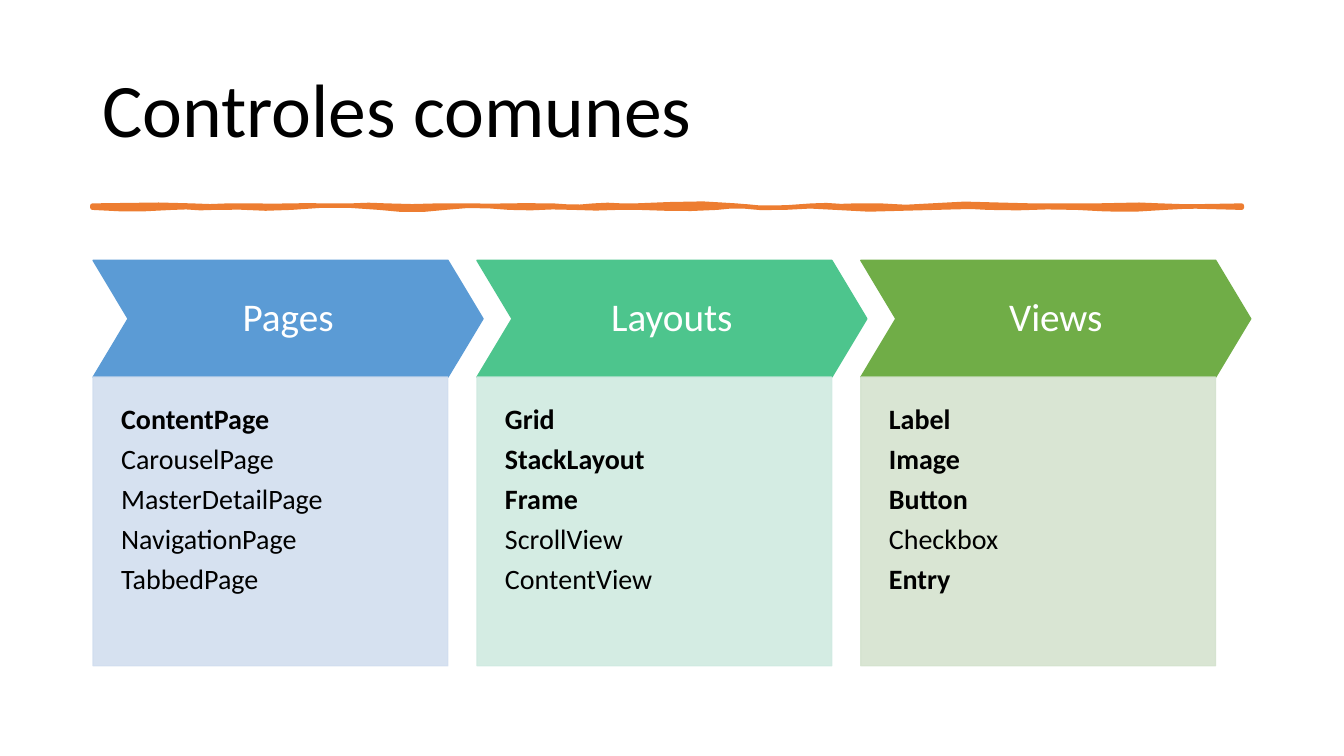
"""Builds the slide on common controls: a brushed rule and three columns."""
from pptx import Presentation
from pptx.dml.color import RGBColor
from pptx.enum.shapes import MSO_SHAPE
from pptx.enum.text import MSO_ANCHOR, PP_ALIGN
from pptx.oxml.ns import qn
from pptx.util import Pt
from lxml.etree import SubElement

TITLE = "Controles comunes"
COLUMNS = [
    ("Pages", RGBColor(0x5B, 0x9B, 0xD5), RGBColor(0xD2, 0xDE, 0xEF),
     ["ContentPage", "CarouselPage", "MasterDetailPage", "NavigationPage", "TabbedPage"]),
    ("Layouts", RGBColor(0x4D, 0xC5, 0x8D), RGBColor(0xD0, 0xEA, 0xE1),
     ["Grid", "StackLayout", "Frame", "ScrollView", "ContentView"]),
    ("Views", RGBColor(0x70, 0xAD, 0x47), RGBColor(0xD5, 0xE3, 0xCF),
     ["Label", "Image", "Button", "Checkbox", "Entry"]),
]
BOLD = {"ContentPage", "Grid", "StackLayout", "Frame", "Label", "Image", "Button", "Entry"}
TOP_WAVE = [
    (137, 0, -2), (176, 2, -1), (238, 1, -1), (276, 1, -2), (331, 2, -1), (395, 1, -1),
    (424, 1, 2), (454, -2, 1), (526, -1, -4), (580, 4, 2), (611, -2, 2), (665, -2, 4),
    (737, -4, 0), (783, 0, 0), (829, 0, -2), (887, 2, 0),
]
LOW_WAVE = [
    (832, 0, -3), (769, 3, 2), (706, -2, 2), (668, -2, 0), (597, 0, 4), (542, -4, 2),
    (512, -2, -2), (457, 2, 1), (410, -1, 2), (364, -2, 2), (318, -2, -3), (271, 3, 3),
    (208, -3, -3), (153, 3, -2), (123, 2, -2), (66, 2, 2),
]
BLACK = RGBColor(0, 0, 0)
WHITE = RGBColor(255, 255, 255)
ORANGE = RGBColor(0xED, 0x7D, 0x31)
FONT = "Calibri"
LEFT, STEP = 66.5, 274.2
HEAD_TOP, HEAD_WIDE, HEAD_HIGH = 186, 278.5, 83.4
BODY_TOP, BODY_WIDE, BODY_HIGH = 269.4, 253.4, 206.2
RULE_LEFT, RULE_TOP, RULE_LOW = 66, 146.9, 148.3
SWING, PARTS = 0.72, 3


def wave(start, base, curves):
    points = []
    for end, first, second in curves:
        for part in range(1, PARTS + 1):
            t = part / PARTS
            lift = 3 * t * (1 - t) * ((1 - t) * first + t * second)
            points.append((Pt(start + (end - start) * t), Pt(base + SWING * lift)))
        start = end
    return points


def paint(shape, color, weight, alpha=None):
    shape.shadow.inherit = False
    shape.fill.solid()
    shape.fill.fore_color.rgb = color
    shape.line.color.rgb = color
    shape.line.width = Pt(weight)
    if alpha:
        for tint in shape._element.spPr.iter(qn("a:srgbClr")):
            SubElement(tint, qn("a:alpha")).set("val", str(alpha * 1000))


def write(shape, lines, size, color, align, anchor, pads, bold=()):
    frame = shape.text_frame
    frame.word_wrap = True
    frame.vertical_anchor = anchor
    frame.margin_left, frame.margin_top, frame.margin_right, frame.margin_bottom = map(Pt, pads)
    for index, line in enumerate(lines):
        para = frame.add_paragraph() if index else frame.paragraphs[0]
        para.text = line
        para.alignment = align
        para.line_spacing = 0.9
        para.space_after = Pt(size * 0.35)
        para.font.name = FONT
        para.font.size = Pt(size)
        para.font.color.rgb = color
        para.font.bold = line in bold


def main():
    deck = Presentation()
    deck.slide_width, deck.slide_height = Pt(960), Pt(540)
    shapes = deck.slides.add_slide(deck.slide_layouts[6]).shapes

    title = shapes.add_textbox(Pt(66), Pt(28.8), Pt(828), Pt(104.4))
    write(title, [TITLE], 54, BLACK, PP_ALIGN.LEFT, MSO_ANCHOR.MIDDLE, (7.2, 3.6, 7.2, 3.6))

    edge = TOP_WAVE[-1][0]
    pen = shapes.build_freeform(Pt(RULE_LEFT), Pt(RULE_TOP))
    pen.add_line_segments(wave(RULE_LEFT, RULE_TOP, TOP_WAVE), close=False)
    pen.add_line_segments([(Pt(edge), Pt(RULE_LOW))] + wave(edge, RULE_LOW, LOW_WAVE))
    rule = pen.convert_to_shape()
    paint(rule, ORANGE, 3.25)
    SubElement(rule.line._get_or_add_ln(), qn("a:round"))

    for index, (name, dark, pale, items) in enumerate(COLUMNS):
        left = Pt(LEFT + index * STEP)
        head = shapes.add_shape(MSO_SHAPE.CHEVRON, left, Pt(HEAD_TOP), Pt(HEAD_WIDE), Pt(HEAD_HIGH))
        head.adjustments[0] = 0.3
        paint(head, dark, 1)
        write(head, [name], 28, WHITE, PP_ALIGN.CENTER, MSO_ANCHOR.MIDDLE, (10, 10, 10, 10))
        body = shapes.add_shape(MSO_SHAPE.RECTANGLE, left, Pt(BODY_TOP), Pt(BODY_WIDE), Pt(BODY_HIGH))
        paint(body, pale, 1, 90)
        write(body, items, 20, BLACK, PP_ALIGN.LEFT, MSO_ANCHOR.TOP, (20, 20, 20, 40), BOLD)

    deck.save("out.pptx")


if __name__ == "__main__":
    main()
